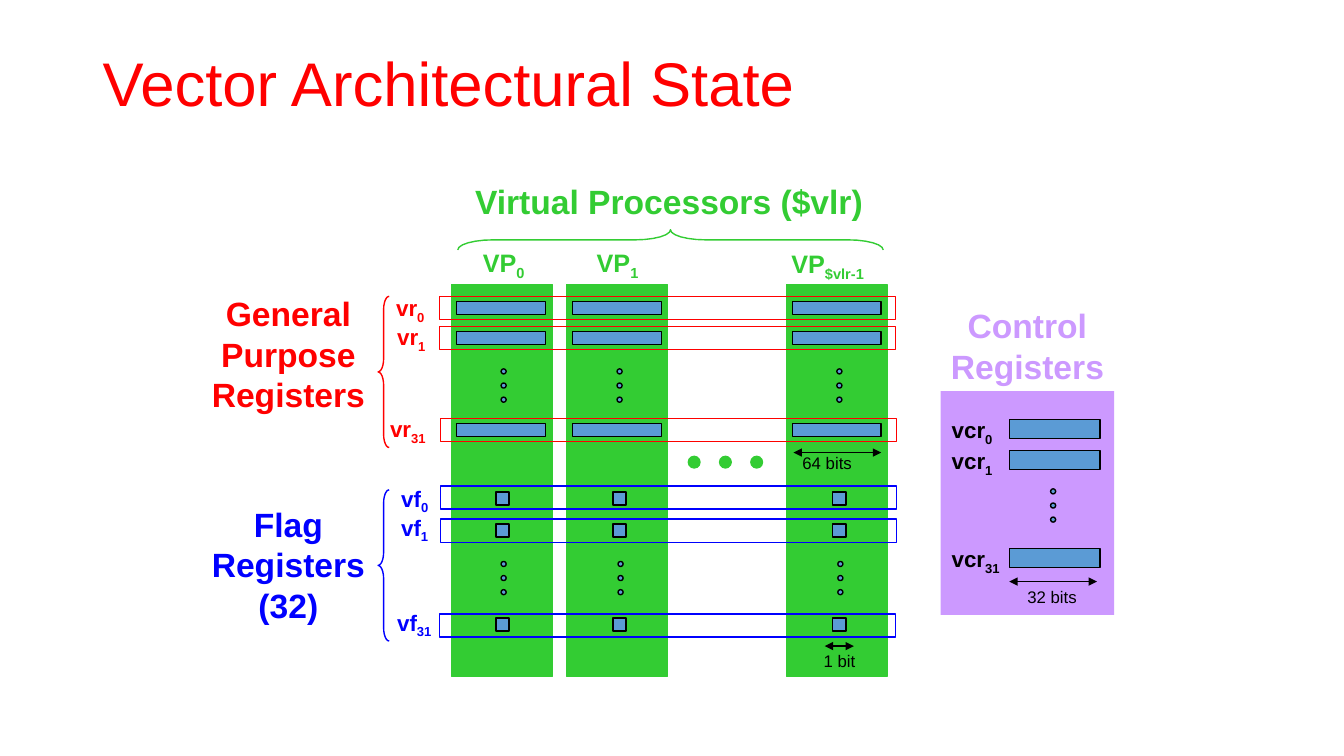
import math

import lxml.etree
import pptx
import pptx.dml.color
import pptx.enum.shapes
import pptx.enum.text
import pptx.oxml.ns
import pptx.util

Inches = pptx.util.Inches
Pt = pptx.util.Pt
qn = pptx.oxml.ns.qn
SHAPES = pptx.enum.shapes.MSO_SHAPE
ALIGN = pptx.enum.text.PP_ALIGN
ANCHOR = pptx.enum.text.MSO_ANCHOR
AUTO_SIZE = pptx.enum.text.MSO_AUTO_SIZE

COLORS = {
    "red": "FF0000",
    "blue": "0000FF",
    "green": "33CC33",
    "steel": "5B9BD5",
    "violet": "CC99FF",
    "black": "000000",
}


class Diagram:
    font = "Arial"
    line_width = 1

    def __init__(self, page):
        self.page = page

    def color(self, name):
        return pptx.dml.color.RGBColor.from_string(COLORS[name])

    def paint(self, shape, fill=None, line=None):
        shape.shadow.inherit = False
        if fill:
            shape.fill.solid()
            shape.fill.fore_color.rgb = self.color(fill)
        else:
            shape.fill.background()
        if line:
            shape.line.color.rgb = self.color(line)
            shape.line.width = Pt(self.line_width)
        else:
            shape.line.fill.background()

    def shape(self, left, top, width, height, kind=SHAPES.RECTANGLE, fill=None, line=None):
        box = self.page.shapes.add_shape(
            kind, Inches(left), Inches(top), Inches(width), Inches(height))
        self.paint(box, fill, line)

    def bar(self, left, top, width, height):
        self.shape(left, top, width, height, fill="steel", line="black")

    def dots(self, left, top):
        for step in range(3):
            self.shape(left, top + 0.14 * step, 0.05, 0.05, SHAPES.OVAL, "steel", "black")

    def text(self, text, left, top, width, height, color="black", size=16, bold=True,
             subscript="", align=ALIGN.LEFT, wrap=False, anchor=ANCHOR.TOP,
             spacing=None, grow=True):
        box = self.page.shapes.add_textbox(
            Inches(left), Inches(top), Inches(width), Inches(height))
        frame = box.text_frame
        frame.word_wrap = wrap
        frame.auto_size = AUTO_SIZE.SHAPE_TO_FIT_TEXT if grow else AUTO_SIZE.NONE
        frame.vertical_anchor = anchor
        for index, line in enumerate(text.split("\n")):
            para = frame.add_paragraph() if index else frame.paragraphs[0]
            para.alignment = align
            if spacing:
                para.line_spacing = spacing
            for part, baseline in ((line, None), (subscript, "-25000")):
                if not part:
                    continue
                span = para.add_run()
                span.text = part
                span.font.name = self.font
                span.font.size = Pt(size)
                span.font.bold = bold
                span.font.color.rgb = self.color(color)
                if baseline:
                    span.font._element.set("baseline", baseline)

    def arrow(self, left, right, top):
        line = self.page.shapes.add_connector(
            pptx.enum.shapes.MSO_CONNECTOR.STRAIGHT,
            Inches(left), Inches(top), Inches(right), Inches(top))
        line.line.color.rgb = self.color("black")
        line.line.width = Pt(self.line_width)
        outline = line.line._get_or_add_ln()
        for end in ("a:headEnd", "a:tailEnd"):
            lxml.etree.SubElement(outline, qn(end)).set("type", "triangle")
        lxml.etree.SubElement(line._element.spPr, qn("a:effectLst"))

    def brace(self, left, top, length, depth, bend, color, upward=False):
        angles = [math.pi / 2 * step / 6 for step in range(7)]
        half = [(bend * (1 - math.cos(a)), depth * (1 - math.sin(a) / 2)) for a in angles]
        half += [(length / 2 - bend * (1 - math.sin(a)), depth * math.cos(a) / 2)
                 for a in angles]
        profile = half + [(length - along, across) for along, across in half[-2::-1]]
        points = [(Inches(left + along), Inches(top + across)) if upward
                  else (Inches(left + across), Inches(top + along))
                  for along, across in profile]
        builder = self.page.shapes.build_freeform(*points[0])
        builder.add_line_segments(points[1:], close=False)
        self.paint(builder.convert_to_shape(), line=color)


def main():
    deck = pptx.Presentation()
    deck.slide_width = Inches(13.33)
    deck.slide_height = Inches(7.5)
    diagram = Diagram(deck.slides.add_slide(deck.slide_layouts[6]))

    diagram.text("Vector Architectural State", 0.92, 0.4, 11.5, 0.91, "red", 44,
                 bold=False, wrap=True, anchor=ANCHOR.MIDDLE, spacing=0.9, grow=False)

    headings = [
        ("General\nPurpose\nRegisters", 1.99, 2.86, 1.74, 1.31, "red"),
        ("Flag\nRegisters\n(32)", 1.99, 4.95, 1.74, 1.31, "blue"),
        ("Virtual Processors ($vlr)", 4.59, 1.75, 4.09, 0.5, "green"),
    ]
    for heading in headings:
        diagram.text(*heading, size=24, align=ALIGN.CENTER)

    processors = [
        ("0", 4.48, 4.53, 4.97, 4.92, 4.69, 2.4, 0.83),
        ("1", 5.62, 5.68, 6.12, 6.08, 5.82, 2.4, 0.83),
        ("$vlr-1", 7.8, 7.86, 8.3, 8.26, 7.75, 2.41, 1.08),
    ]
    for name, column, register, dot, flag, label, label_top, label_width in processors:
        diagram.shape(column, 2.82, 1, 3.89, fill="green", line="green")
        diagram.text("VP", label, label_top, label_width, 0.4, "green", 18,
                     subscript=name, wrap=True)
        for top in (2.99, 3.29, 4.2):
            diagram.bar(register, top, 0.88, 0.13)
        diagram.dots(dot, 3.66)
        for top in (4.88, 5.2, 6.13):
            diagram.bar(flag, top, 0.13, 0.13)
        diagram.dots(flag + 0.05, 5.57)

    for step in range(3):
        diagram.shape(6.82 + 0.31 * step, 4.52, 0.13, 0.13, SHAPES.OVAL, "green")

    vector_rows = [
        ("vr", "0", "red", 4.36, 2.94, 3.83, 2.87, 0.49, False),
        ("vr", "1", "red", 4.36, 3.24, 3.84, 3.16, 0.49, False),
        ("vr", "31", "red", 4.37, 4.15, 3.77, 4.07, 0.7, True),
        ("vf", "0", "blue", 4.37, 4.82, 3.88, 4.76, 0.48, False),
        ("vf", "1", "blue", 4.37, 5.15, 3.88, 5.05, 0.56, True),
        ("vf", "31", "blue", 4.36, 6.09, 3.84, 5.99, 0.71, True),
    ]
    for name, number, color, left, top, label, label_top, width, wrap in vector_rows:
        diagram.shape(left, top, 4.52, 0.23, line=color)
        diagram.text(name, label, label_top, width, 0.36, color,
                     subscript=number, wrap=wrap)

    diagram.brace(3.75, 2.94, 1.5, 0.11, 0.13, "red")
    diagram.brace(3.75, 4.86, 1.5, 0.11, 0.13, "blue")
    diagram.brace(4.54, 2.28, 4.22, 0.2, 0.35, "green", upward=True)

    diagram.shape(9.33, 3.88, 1.72, 2.22, fill="violet")
    diagram.text("Control\nRegisters", 9.32, 2.98, 1.74, 0.91, "violet", 24,
                 align=ALIGN.CENTER)
    for number, top, width in (("0", 4.16, 0.62), ("1", 4.47, 0.62), ("31", 5.44, 0.7)):
        diagram.text("vcr", 9.34, top - 0.08, width, 0.36, subscript=number)
        diagram.bar(10.01, top, 0.9, 0.19)
    diagram.dots(10.42, 4.85)

    measures = [
        ("64 bits", 7.86, 4.44, 0.69, 7.87, 8.74, 4.49),
        ("1 bit", 8.07, 6.41, 0.52, 8.18, 8.47, 6.41),
        ("32 bits", 10.09, 5.77, 0.69, 10.01, 10.88, 5.77),
    ]
    for caption, left, top, width, start, end, arrow_top in measures:
        diagram.arrow(start, end, arrow_top)
        diagram.text(caption, left, top, width, 0.3, size=12, bold=False)

    deck.save("out.pptx")


if __name__ == "__main__":
    main()
